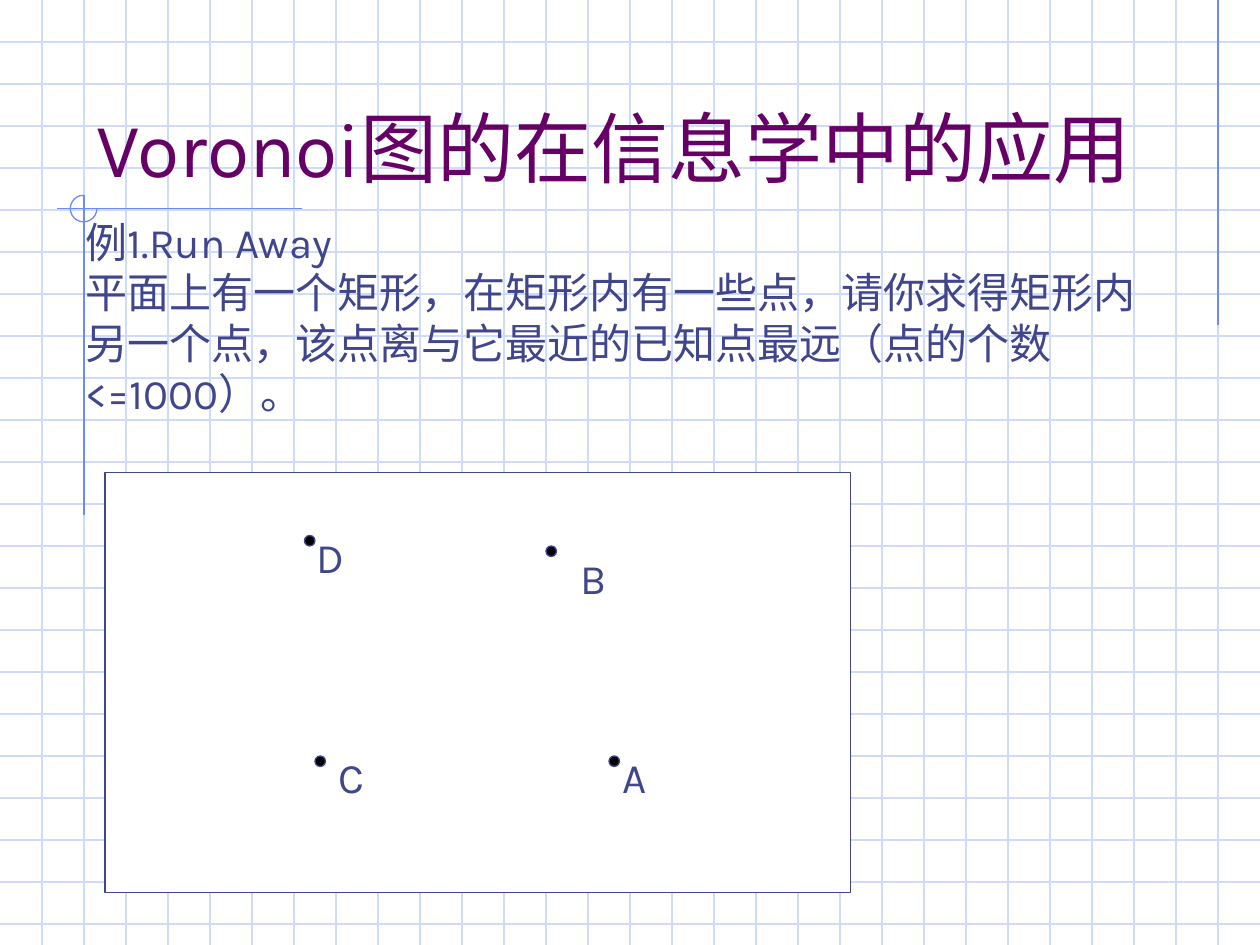
from lxml import etree
from pptx import Presentation
from pptx import util as u
from pptx.dml.color import RGBColor
from pptx.enum import shapes, text

WIDTH, HEIGHT, GRID = 720, 540, 24
PALE, BLUE, INDIGO, PURPLE = "CFDBFD", "6F89F7", "40458C", "660066"
LATIN, SERIF = "Karla", "Times New Roman"


def colour(code):
    return RGBColor.from_string(code)


def points(*lengths):
    return [u.Pt(length) for length in lengths]


def add_line(page, start, end, code):
    line = page.shapes.add_connector(
        shapes.MSO_CONNECTOR.STRAIGHT, *points(*start, *end))
    line.line.color.rgb = colour(code)
    line.line.width = u.Pt(0.75)
    properties = line._element.spPr
    etree.SubElement(properties, properties.ln.tag.replace("}ln", "}effectLst"))


def add_shape(page, kind, frame, line, fill=None):
    shape = page.shapes.add_shape(kind, *points(*frame))
    shape.shadow.inherit = False
    if fill:
        shape.fill.solid()
        shape.fill.fore_color.rgb = colour(fill)
    else:
        shape.fill.background()
    shape.line.color.rgb = colour(line)
    shape.line.width = u.Pt(0.75)
    return shape


def add_text(page, paragraphs, frame, size=24, code=INDIGO, wrap=True, grow=True,
             align=text.PP_ALIGN.LEFT, anchor=text.MSO_ANCHOR.TOP):
    """Each paragraph is a list of (wording, font name) spans."""
    box = page.shapes.add_textbox(*points(*frame)).text_frame
    box.word_wrap = wrap
    box.auto_size = (text.MSO_AUTO_SIZE.SHAPE_TO_FIT_TEXT if grow
                     else text.MSO_AUTO_SIZE.NONE)
    box.vertical_anchor = anchor
    for index, spans in enumerate(paragraphs):
        para = box.add_paragraph() if index else box.paragraphs[0]
        para.alignment = align
        for wording, font in spans:
            span = para.add_run()
            span.text = wording
            span.font.name = font
            span.font.size = u.Pt(size)
            span.font.color.rgb = colour(code)


def add_background(page):
    for y in range(GRID, HEIGHT, GRID):
        add_line(page, (0, y), (WIDTH, y), PALE)
    for x in range(GRID, WIDTH, GRID):
        add_line(page, (x, 0), (x, HEIGHT), PALE)
    add_line(page, (696, 0), (696, 186), BLUE)
    add_line(page, (172.8, 119.2), (32.4, 119.2), BLUE)
    add_line(page, (48, 111.6), (48, 294.5), BLUE)
    arc = add_shape(page, shapes.MSO_SHAPE.ARC, (40.2, 111.6, 15.2, 15.2), BLUE)
    # Arc angles are in 60000ths of a degree, given here divided by 100000
    arc.adjustments[0] = 0
    arc.adjustments[1] = 270 * 0.6


def add_site(page, name, dot, label, width, wrap):
    add_shape(page, shapes.MSO_SHAPE.OVAL, (*dot, 6, 6), INDIGO, "000000")
    add_text(page, [[(name, LATIN)]], (*label, width, 36), wrap=wrap,
             align=text.PP_ALIGN.CENTER)


def main():
    deck = Presentation()
    deck.slide_width, deck.slide_height = points(WIDTH, HEIGHT)
    page = deck.slides.add_slide(deck.slide_layouts[6])
    add_background(page)
    add_text(page, [[("Voronoi图的在信息学中的应用", LATIN)]], (48, 24, 612, 90),
             size=44, code=PURPLE, grow=False, anchor=text.MSO_ANCHOR.BOTTOM)
    add_text(page, [
        [("例1.Run Away", LATIN)],
        [("平面上有一个矩形，在矩形内有一些点，请你求得矩形内"
          "另一个点，该点离与它最近的已知点最远（点的个数", SERIF),
         ("<=1000", LATIN), ("）。", SERIF)],
    ], (42, 120, 618, 151))
    add_shape(page, shapes.MSO_SHAPE.RECTANGLE, (60, 270, 426, 240), INDIGO, "FFFFFF")
    for site in (
        ("B", (312, 312), (312, 312), 54, True),
        ("A", (348, 432), (348, 426), 29.5, False),
        ("C", (180, 432), (186, 426), 29.5, False),
        ("D", (174, 306), (162, 300), 54, True),
    ):
        add_site(page, *site)
    deck.save("out.pptx")


if __name__ == "__main__":
    main()
